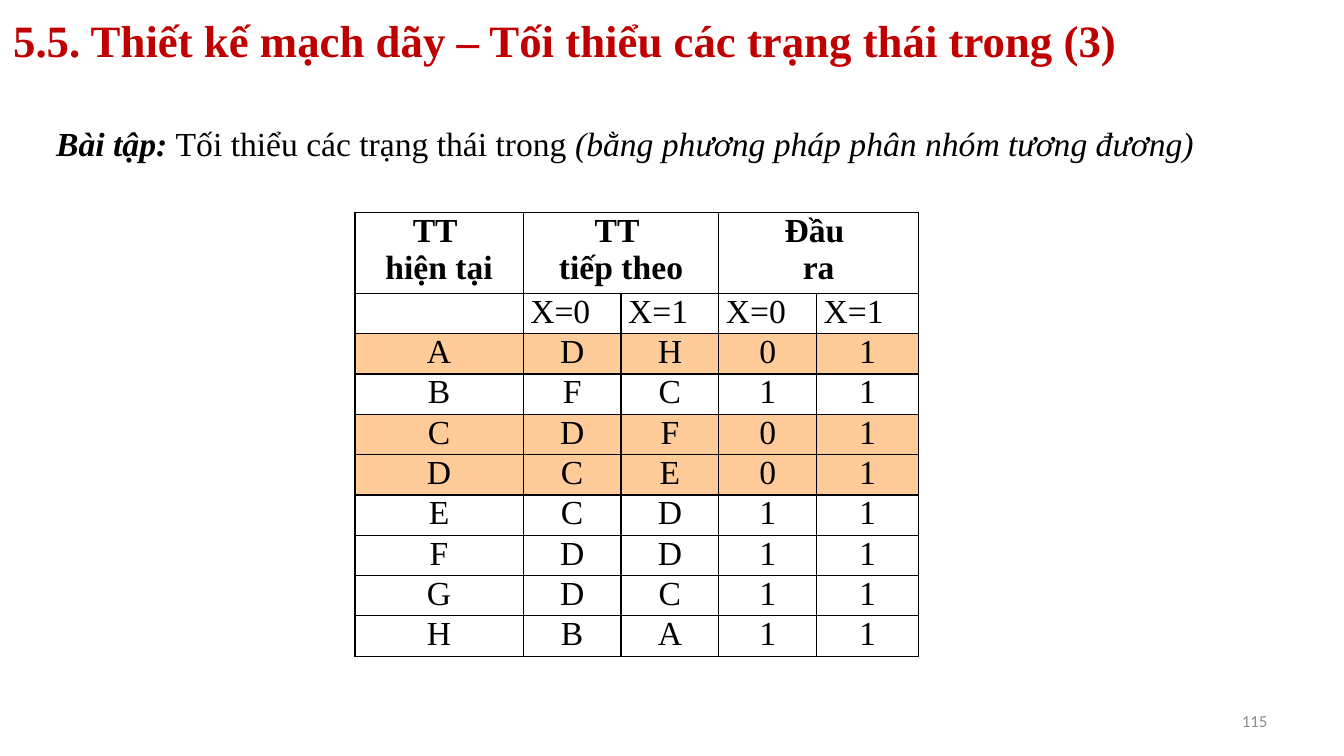
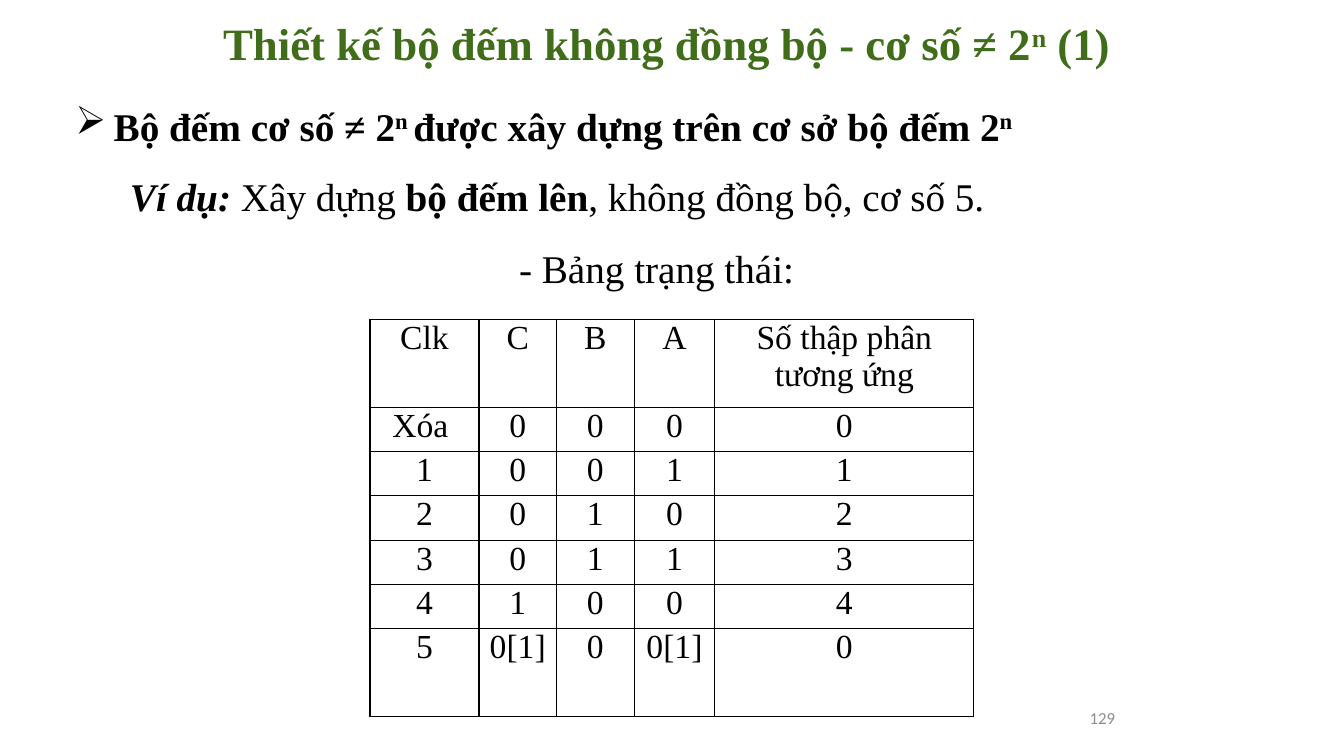
from dataclasses import dataclass
from typing import Optional

from lxml import etree
from pptx import Presentation
from pptx.dml.color import RGBColor
from pptx.enum.text import MSO_ANCHOR, MSO_AUTO_SIZE, PP_ALIGN
from pptx.oxml.ns import qn
from pptx.util import Inches, Pt

LEFT, CENTER, RIGHT, JUSTIFY = PP_ALIGN.LEFT, PP_ALIGN.CENTER, PP_ALIGN.RIGHT, PP_ALIGN.JUSTIFY
MIDDLE, TOP = MSO_ANCHOR.MIDDLE, MSO_ANCHOR.TOP
NO_AUTOFIT = MSO_AUTO_SIZE.NONE
TITLE_ONLY = 5

SERIF, SANS = "Times New Roman", "Calibri"
BLACK, WHITE, GRAY = "000000", "FFFFFF", "8C8C8C"
RED, GREEN, ORANGE = "C00000", "3F6D19", "FFCC99"


@dataclass(frozen=True)
class Span:
    text: str
    bold: Optional[bool] = None
    italic: Optional[bool] = None
    superscript: bool = False


@dataclass(frozen=True)
class Box:
    left: float
    top: float
    width: float
    height: float


@dataclass(frozen=True)
class Style:
    size: int
    color: str = BLACK
    font: str = SERIF
    bold: bool = False
    align: PP_ALIGN = LEFT
    anchor: MSO_ANCHOR = TOP
    wrap: bool = True
    bullet: str = ""


@dataclass(frozen=True)
class Grid:
    left: float
    top: float
    columns: list[float]
    heights: list[float]
    rows: list[list[str]]
    merged_pairs: tuple[int, ...] = ()
    bold_rows: tuple[int, ...] = ()
    left_rows: tuple[int, ...] = ()
    shaded_rows: tuple[int, ...] = ()


PAGE_NUMBER = Style(12, GRAY, SANS, align=RIGHT, anchor=MIDDLE)

STATE_TABLE = Grid(
    3.52, 2.11, [1.67, 0.97, 0.97, 0.97, 1.01], [0.8] + [0.4] * 9,
    [
        ["TT \nhiện tại", "TT \ntiếp theo", "", "Đầu \nra", ""],
        ["", "X=0", "X=1", "X=0", "X=1"],
        *map(list, ("ADH01", "BFC11", "CDF01", "DCE01", "ECD11", "FDD11", "GDC11", "HBA11")),
    ],
    merged_pairs=(1, 3), bold_rows=(0,), left_rows=(1,), shaded_rows=(2, 4, 5),
)

COUNTER_TABLE = Grid(
    3.67, 3.17, [1.08, 0.77, 0.77, 0.8, 2.57], [0.87] + [0.44] * 5 + [0.87],
    [
        ["Clk", "C", "B", "A", "Số thập phân tương ứng"],
        ["Xóa ", "0", "0", "0", "0"],
        *map(list, ("10011", "20102", "30113", "41004")),
        ["5", "0[1]", "0", "0[1]", "0"],
    ],
)


def rgb(color: str) -> RGBColor:
    return RGBColor.from_string(color)


def format_paragraph(paragraph, style: Style) -> None:
    paragraph.alignment = style.align
    if style.bullet:
        properties = paragraph._p.get_or_add_pPr()
        properties.set("marL", str(Inches(0.38)))
        properties.set("indent", str(Inches(-0.38)))
        etree.SubElement(properties, qn("a:buChar")).set("char", style.bullet)
    font = paragraph.font
    font.name, font.size, font.bold = style.font, Pt(style.size), style.bold
    font.color.rgb = rgb(style.color)


def fill_text(shape, spans: list[Span], style: Style) -> None:
    frame = shape.text_frame
    frame.word_wrap = style.wrap
    frame.auto_size = NO_AUTOFIT
    frame.vertical_anchor = style.anchor
    paragraph = frame.paragraphs[0]
    format_paragraph(paragraph, style)
    for span in spans:
        run = paragraph.add_run()
        run.text = span.text
        run.font.bold, run.font.italic = span.bold, span.italic
        if span.superscript:
            run._r.get_or_add_rPr().set("baseline", "30000")


def add_text(slide, box: Box, spans: list[Span], style: Style) -> None:
    shape = slide.shapes.add_textbox(
        Inches(box.left), Inches(box.top), Inches(box.width), Inches(box.height))
    fill_text(shape, spans, style)


def add_titled_slide(deck, box: Box, spans: list[Span], color: str, align: PP_ALIGN):
    slide = deck.slides.add_slide(deck.slide_layouts[TITLE_ONLY])
    title = slide.shapes.title
    title.left, title.top = Inches(box.left), Inches(box.top)
    title.width, title.height = Inches(box.width), Inches(box.height)
    fill_text(title, spans, Style(32, color, bold=True, align=align, anchor=MIDDLE))
    return slide


def add_borders(cell) -> None:
    properties = cell._tc.get_or_add_tcPr()
    for side in ("a:lnL", "a:lnR", "a:lnT", "a:lnB"):
        line = etree.SubElement(properties, qn(side), w=str(Pt(1)))
        solid = etree.SubElement(line, qn("a:solidFill"))
        etree.SubElement(solid, qn("a:srgbClr"), val=BLACK)


def add_grid(slide, grid: Grid) -> None:
    table = slide.shapes.add_table(
        len(grid.rows), len(grid.columns), Inches(grid.left), Inches(grid.top),
        Inches(sum(grid.columns)), Inches(sum(grid.heights))).table
    table.first_row = table.horz_banding = False
    for column, width in zip(table.columns, grid.columns):
        column.width = Inches(width)
    for row, height in zip(table.rows, grid.heights):
        row.height = Inches(height)
    for first in grid.merged_pairs:
        table.cell(0, first).merge(table.cell(0, first + 1))
    for row_index, values in enumerate(grid.rows):
        style = Style(24, bold=row_index in grid.bold_rows,
                      align=LEFT if row_index in grid.left_rows else CENTER)
        for column_index, value in enumerate(values):
            cell = table.cell(row_index, column_index)
            add_borders(cell)
            cell.fill.solid()
            cell.fill.fore_color.rgb = rgb(ORANGE if row_index in grid.shaded_rows else WHITE)
            cell.margin_left = cell.margin_right = Inches(0.07)
            cell.margin_top = cell.margin_bottom = 0
            if value:
                cell.text = value
            for paragraph in cell.text_frame.paragraphs:
                format_paragraph(paragraph, style)


def build_state_reduction(deck) -> None:
    slide = add_titled_slide(
        deck, Box(0.03, -0.02, 12.13, 0.83),
        [Span("5.5. Thiết kế mạch dãy – Tối thiểu các trạng thái trong (3)")], RED, LEFT)
    add_text(slide, Box(0.46, 1.17, 11.7, 0.5), [
        Span("Bài tập: ", bold=True, italic=True),
        Span("Tối thiểu các trạng thái trong "),
        Span("(bằng phương pháp phân nhóm tương đương)", italic=True),
    ], Style(24, align=JUSTIFY, anchor=MIDDLE))
    add_grid(slide, STATE_TABLE)
    add_text(slide, Box(9.56, 6.95, 3.11, 0.4), [Span("115")], PAGE_NUMBER)


def build_counter(deck) -> None:
    slide = add_titled_slide(deck, Box(0.08, 0.06, 13.06, 0.73), [
        Span("Thiết kế bộ đếm không đồng bộ - cơ số ≠ 2"),
        Span("n", superscript=True),
        Span(" (1)"),
    ], GREEN, CENTER)
    add_text(slide, Box(0.65, 0.96, 9.93, 0.57), [
        Span("Bộ đếm cơ số ≠ 2"),
        Span("n ", superscript=True),
        Span("được xây dựng trên cơ sở bộ đếm 2"),
        Span("n", superscript=True),
    ], Style(28, bold=True, align=JUSTIFY, anchor=MIDDLE, bullet="➢"))
    add_text(slide, Box(1.19, 1.66, 9.39, 0.57), [
        Span("Ví dụ: ", bold=True, italic=True),
        Span("Xây dựng "),
        Span("bộ đếm lên", bold=True),
        Span(", không đồng bộ, cơ số 5."),
    ], Style(28))
    add_text(slide, Box(5.05, 2.37, 2.96, 0.57), [Span("- Bảng trạng thái:")],
             Style(28, wrap=False))
    add_grid(slide, COUNTER_TABLE)
    add_text(slide, Box(8.83, 6.92, 2.33, 0.4), [Span("129")], PAGE_NUMBER)


def main() -> None:
    deck = Presentation()
    deck.slide_width, deck.slide_height = Inches(13.33), Inches(7.5)
    build_state_reduction(deck)
    build_counter(deck)
    deck.save("out.pptx")


if __name__ == "__main__":
    main()
